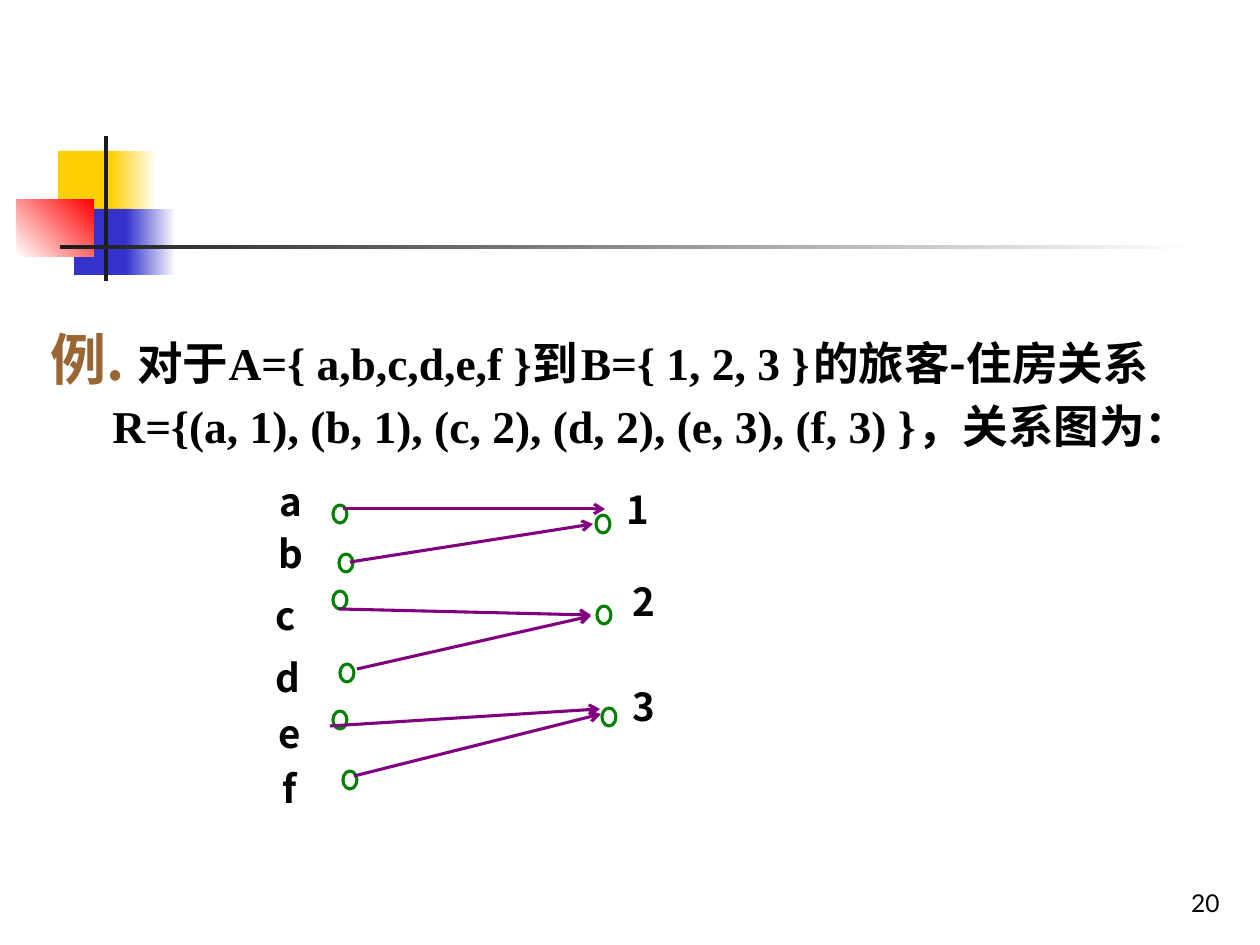
from lxml.etree import SubElement
from pptx import Presentation
from pptx.dml.color import RGBColor
from pptx.enum.shapes import MSO_CONNECTOR, MSO_SHAPE
from pptx.enum.text import MSO_ANCHOR, PP_ALIGN
from pptx.oxml.ns import qn
from pptx.util import Emu, Pt

HAN, LATIN, SANS = "Noto Sans CJK SC", "Times New Roman", "Lato"
BLACK, WHITE, BROWN = "000000", "FFFFFF", "996633"
GREEN, PURPLE = "008000", "800080"
GOLD, BLUE, RED, DARK = "FFCF01", "3333CC", "FF0000", "1C1C1C"


def px(n):
    return Emu(round(n * 914400 / 126))


def color(code):
    return RGBColor.from_string(code)


def shape(slide, kind, box):
    item = slide.shapes.add_shape(kind, *map(px, box))
    item.shadow.inherit = False
    return item


def block(slide, box, first, last=None, angle=0):
    """Borderless rectangle, plain or shaded from first to last."""
    item = shape(slide, MSO_SHAPE.RECTANGLE, box)
    item.line.fill.background()
    if last is None:
        item.fill.solid()
        item.fill.fore_color.rgb = color(first)
        return
    item.fill.gradient()
    item.fill.gradient_angle = angle
    for stop, code in zip(item.fill.gradient_stops, (first, last)):
        stop.color.rgb = color(code)


def ring(slide, x, y):
    item = shape(slide, MSO_SHAPE.OVAL, (x, y, 14, 18))
    item.fill.background()
    item.line.color.rgb = color(GREEN)
    item.line.width = Pt(1.75)


def arrow(slide, x1, y1, x2, y2):
    item = slide.shapes.add_connector(
        MSO_CONNECTOR.STRAIGHT, px(x1), px(y1), px(x2), px(y2))
    item.line.color.rgb = color(PURPLE)
    item.line.width = Pt(1.75)
    SubElement(item.line._get_or_add_ln(), qn("a:tailEnd"), type="arrow")
    SubElement(item._element.spPr, qn("a:effectLst"))


def frame(slide, box, anchor=MSO_ANCHOR.TOP):
    body = slide.shapes.add_textbox(*map(px, box)).text_frame
    body.word_wrap = True
    body.vertical_anchor = anchor
    return body


def write(para, text, size=26, font=HAN, code=BLACK, bold=True):
    run = para.add_run()
    run.text = text
    run.font.size = Pt(size)
    run.font.bold = bold
    run.font.name = font
    run.font.color.rgb = color(code)
    SubElement(run.font._element, qn("a:ea"), typeface=HAN)


def motif(slide, x, y):
    """Coloured squares with the crossing bars."""
    block(slide, (x + 41, y + 15, 60, 66), GOLD)
    block(slide, (x + 94, y + 15, 45, 66), GOLD, WHITE)
    block(slide, (x + 57, y + 73, 58, 66), BLUE)
    block(slide, (x + 109, y + 73, 50, 66), BLUE, WHITE)
    block(slide, (x, y + 63, 77, 58), WHITE, RED, angle=45)
    block(slide, (x + 87, y, 4, 145), DARK)
    block(slide, (x + 43, y + 109, 1134, 4), DARK, WHITE)


def problem(slide, box):
    """Two lines that state the example."""
    body = frame(slide, box)
    top, low = body.paragraphs[0], body.add_paragraph()
    top.line_spacing = low.line_spacing = 1.1
    low._p.get_or_add_pPr().set("marL", str(px(62)))
    write(top, "例. ", size=32, code=BROWN)
    write(top, "对于")
    write(top, "A={ a,b,c,d,e,f }", font=LATIN)
    write(top, "到")
    write(top, " ", size=8)
    write(top, "B={ 1, 2, 3 }", font=LATIN)
    write(top, " ", size=8)
    write(top, "的旅客-住房关系")
    write(low, "R={(a, 1), (b, 1), (c, 2), (d, 2), (e, 3), (f, 3) }，",
          font=LATIN)
    write(low, "关系图为：")


# Label, its corner, and the corner of its ring
NODES = [
    ("a", 7, 2, 73, 35), ("b", 6, 54, 79, 84), ("c", 3, 116, 73, 121),
    ("d", 3, 178, 80, 194), ("e", 6, 234, 73, 241), ("f", 10, 289, 83, 301),
    ("1", 354, 10, 336, 45), ("2", 360, 102, 337, 136),
    ("3", 360, 207, 342, 238),
]
# Start and end of each arrow, from a to f
EDGES = [
    (83, 39, 345, 39), (90, 92, 333, 54), (79, 139, 331, 145),
    (97, 199, 331, 146), (70, 256, 340, 239), (94, 306, 341, 244),
]


def graph(slide, x, y):
    """Relation graph from guests to rooms."""
    for name, left, top, across, down in NODES:
        ring(slide, x + across, y + down)
        body = frame(slide, (x + left, y + top, 58, 59))
        write(body.paragraphs[0], name, size=22)
    for x1, y1, x2, y2 in EDGES:
        arrow(slide, x + x1, y + y1, x + x2, y + y2)


def number(slide, box):
    """Page number."""
    para = frame(slide, box, MSO_ANCHOR.BOTTOM).paragraphs[0]
    para.alignment = PP_ALIGN.RIGHT
    write(para, "20", size=14, font=SANS, bold=False)


def main():
    deck = Presentation()
    deck.slide_width, deck.slide_height = px(1260), px(945)
    slide = deck.slides.add_slide(deck.slide_layouts[6])
    motif(slide, 17, 136)
    number(slide, (970, 861, 262, 63))
    problem(slide, (38, 312, 1213, 147))
    graph(slide, 260, 470)
    deck.save("out.pptx")


if __name__ == "__main__":
    main()
